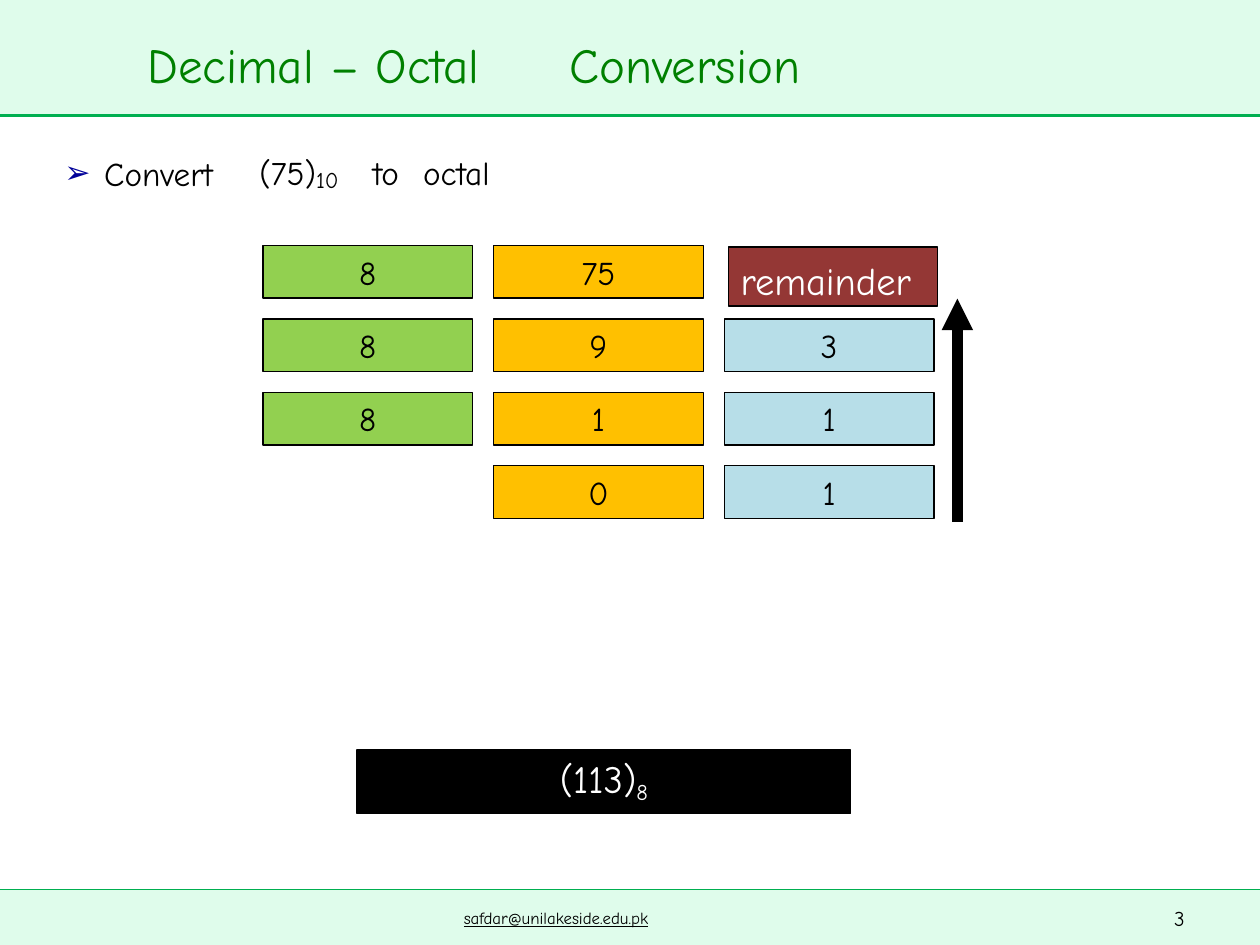
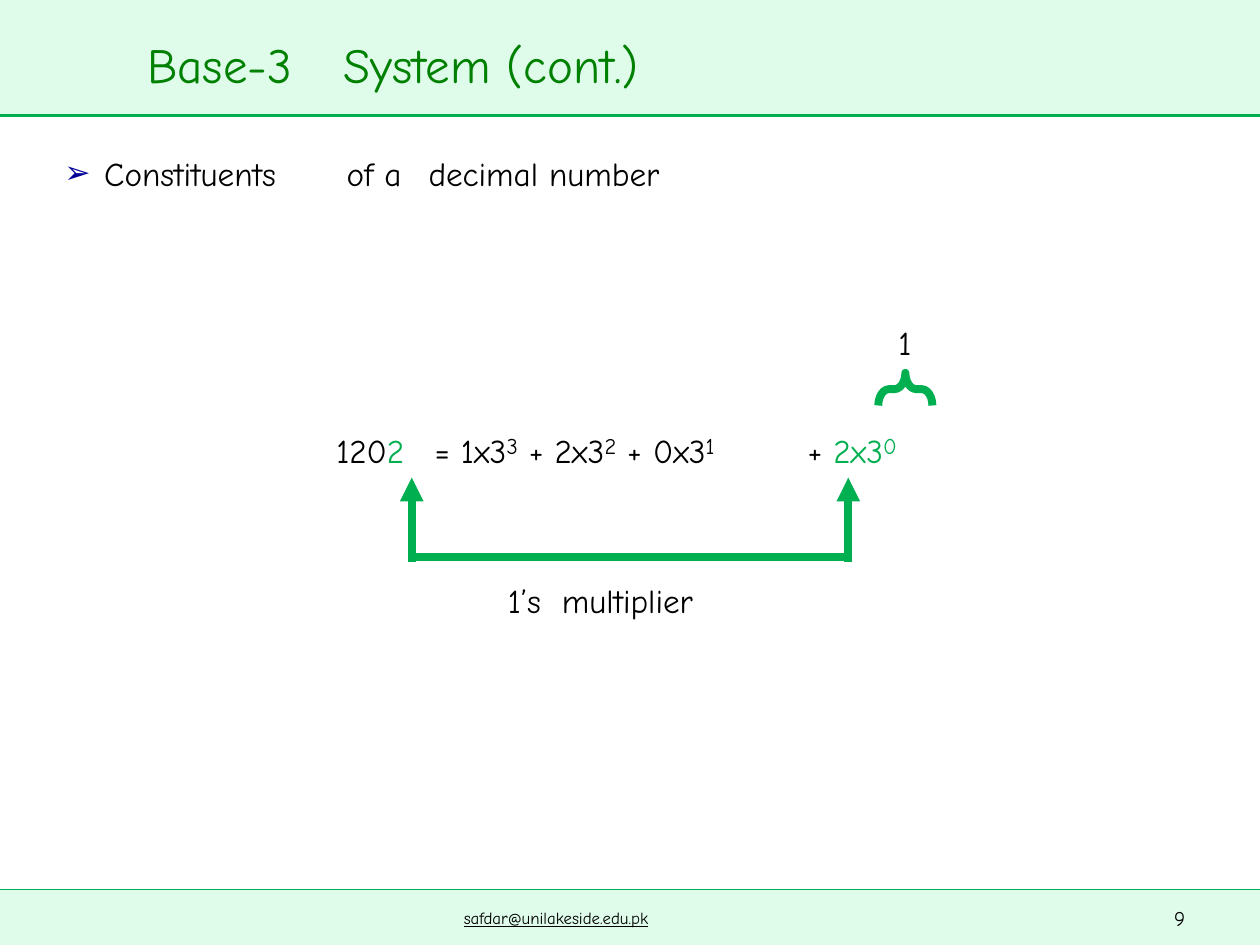
from lxml.etree import SubElement
from pptx import Presentation
from pptx.dml.color import RGBColor
from pptx.enum.shapes import MSO_CONNECTOR, MSO_SHAPE
from pptx.enum.text import MSO_ANCHOR, MSO_AUTO_SIZE, PP_ALIGN
from pptx.oxml.ns import qn
from pptx.util import Cm, Pt

MINT = RGBColor(0xDF, 0xFC, 0xEB)
GREEN = RGBColor(0x00, 0xAF, 0x50)
DARK = RGBColor(0x00, 0x80, 0x00)
LIME = RGBColor(0x92, 0xD0, 0x50)
GOLD = RGBColor(0xFF, 0xC0, 0x00)
SKY = RGBColor(0xB7, 0xDE, 0xE8)
RED = RGBColor(0x94, 0x37, 0x35)
BLACK = RGBColor(0, 0, 0)
WHITE = RGBColor(0xFF, 0xFF, 0xFF)
NAVY = "000099"
FONT = "Comic Neue"
WIDE, HIGH = 25.4, 19.05
BODY = 19  # points
LIST_Y = 3.49  # centre of the list line, cm
MAIL = "safdar@unilakeside.edu.pk"


def low(text, shift=-9):
    """Return a subscript run."""
    return text, {"size": 22, "shift": shift}


def high(text):
    """Return a superscript run."""
    return text, {"size": 22, "shift": 23}


# Each part: runs, left edge and tab stops in cm.
OCTAL = {
    "title": "Decimal – Octal\tConversion", "stop": 8.51, "page": "3",
    "item": "Convert",
    "rest": (["(75)", low("10"), "\tto\toctal"], 5.23, [2.29, 3.3]),
}
BASE = {
    "title": "Base-3\tSystem (cont.)", "stop": 3.96, "page": "9",
    "item": "Constituents",
    "rest": (["of a\tdecimal number"], 6.99, [1.65]),
}
# Fill, number of the first row, values
STEPS = [
    (LIME, 0, ["8", "8", "8"]),
    (GOLD, 0, ["75", "9", "1", "0"]),
    (SKY, 1, ["3", "1", "1"]),
]
SUM = [
    "120", ("2", {"color": GREEN}),
    "\t= 1x3", high("3"), " + 2x3", high("2"), " + 0x3", high("1"),
    "\t+ ", ("2x3", {"color": GREEN}),
    ("0", {"color": GREEN, "size": 22, "shift": 23}),
]


def write(shape, runs, size=BODY, color=BLACK, align=PP_ALIGN.LEFT,
          line=False, wrap=True, tabs=(), bullet=None, inset=(0, 0)):
    """Fill a shape with one formatted paragraph of runs."""
    frame = shape.text_frame
    frame.auto_size = MSO_AUTO_SIZE.NONE
    frame.word_wrap = wrap
    frame.vertical_anchor = MSO_ANCHOR.MIDDLE
    frame.margin_left, frame.margin_top = Cm(inset[0]), Cm(inset[1])
    frame.margin_right = frame.margin_bottom = 0
    para = frame.paragraphs[0]
    para.alignment = align
    para.line_spacing = Pt(round(size * 1.2, 1))
    para.space_before = Pt(0)
    for item in runs:
        text, look = (item, {}) if isinstance(item, str) else item
        run = para.add_run()
        run.text = text
        font = run.font
        font.name = FONT
        font.size = Pt(look.get("size", size))
        font.color.rgb = look.get("color", color)
        if line:
            font.underline = True
        if "shift" in look:
            run._r.get_or_add_rPr().set("baseline", str(look["shift"] * 1000))
    props = para._p.get_or_add_pPr()
    if bullet:
        mark(props, bullet)
    if tabs:
        stops = SubElement(props, qn("a:tabLst"))
        for stop in tabs:
            SubElement(stops, qn("a:tab"), pos=str(Cm(stop)), algn="l")


def mark(props, gap):
    """Give a paragraph an arrow bullet with a hanging indent."""
    props.set("marL", str(Cm(gap)))
    props.set("indent", str(-Cm(gap)))
    tint = SubElement(props, qn("a:buClr"))
    SubElement(tint, qn("a:srgbClr"), val=NAVY)
    SubElement(props, qn("a:buSzPct"), val="94000")
    SubElement(props, qn("a:buFont"), typeface="Arial")
    SubElement(props, qn("a:buChar"), char="➢")


def place(shape, left, mid, wide, tall):
    """Put a shape at a left edge, centred on a height."""
    shape.left, shape.top = Cm(left), Cm(mid - tall / 2)
    shape.width, shape.height = Cm(wide), Cm(tall)


def label(slide, runs, left, mid, **look):
    """Add a one-line text box centred on a height."""
    box = slide.shapes.add_textbox(0, 0, 0, 0)
    place(box, left, mid, 14 if look.get("tabs") else 6, 1)
    if left + 6 > WIDE:
        box.width = Cm(WIDE - left)
    write(box, runs, **look)


def block(slide, left, top, wide, tall, fill, edge=True):
    """Add a filled rectangle with an optional thin black edge."""
    box = slide.shapes.add_shape(
        MSO_SHAPE.RECTANGLE, Cm(left), Cm(top), Cm(wide), Cm(tall))
    box.shadow.inherit = False
    box.fill.solid()
    box.fill.fore_color.rgb = fill
    if edge:
        box.line.color.rgb = BLACK
        box.line.width = Pt(0.75)
    else:
        box.line.fill.background()
    return box


def rule(slide, start, end, width, color=GREEN, head=False):
    """Add a straight line, with an arrowhead at its end if asked."""
    line = slide.shapes.add_connector(
        MSO_CONNECTOR.STRAIGHT, *[Cm(n) for n in (*start, *end)])
    line.line.color.rgb = color
    line.line.width = Pt(width)
    if head:
        SubElement(line.line._get_or_add_ln(), qn("a:tailEnd"),
                   type="triangle", w="med", len="med")
    SubElement(line.element.spPr, qn("a:effectLst"))
    return line


def start(deck, data):
    """Add a slide with bands, title, list line and footer."""
    slide = deck.slides.add_slide(deck.slide_layouts[1])
    title, body = slide.shapes.title, slide.placeholders[1]
    back = [
        block(slide, 0, 0, WIDE, 2.31, MINT, edge=False),
        rule(slide, (0, 2.33), (WIDE, 2.33), 2),
        block(slide, 0, 17.93, WIDE, HIGH - 17.93, MINT, edge=False),
        rule(slide, (0, 17.93), (WIDE, 17.93), 0.25),
    ]
    for shape in back:
        title.element.addprevious(shape.element)
    place(title, 2.97, 1.28, 20, 1.3)
    write(title, [data["title"]], size=28, color=DARK, tabs=[data["stop"]])
    place(body, 1.3, LIST_Y, 5, 1)
    write(body, [data["item"]], bullet=0.8, wrap=False)
    runs, left, tabs = data["rest"]
    label(slide, runs, left, LIST_Y, tabs=tabs)
    label(slide, [MAIL], 9.35, 18.5, size=9.6, line=True)
    label(slide, [data["page"]], 23.67, 18.5, size=12)
    return slide


def divide(slide):
    """Draw the repeated division and its result."""
    left, top, wide, tall = 5.3, 4.95, 4.23, 1.06
    across, down = 4.65, 1.48
    for col, (fill, first, values) in enumerate(STEPS):
        for row, value in enumerate(values, first):
            box = block(slide, left + col * across, top + row * down,
                        wide, tall, fill)
            write(box, [value], align=PP_ALIGN.CENTER)
    head = block(slide, 14.68, 4.98, 4.22, 1.19, RED)
    write(head, ["remainder"], size=22, color=WHITE, inset=(0.25, 0.14))
    rule(slide, (19.3, 10.52), (19.3, 6.02), 6, BLACK, head=True)
    total = block(slide, 7.2, 15.12, 9.95, 1.28, BLACK)
    write(total, ["(113)", low("8", -18)], size=22, color=WHITE,
          align=PP_ALIGN.CENTER)


def expand(slide):
    """Draw the expanded sum with its brace and linked arrows."""
    label(slide, ["1"], 18.11, 6.9)
    brace = slide.shapes.add_shape(
        MSO_SHAPE.LEFT_BRACE, Cm(17.92), Cm(7.3), Cm(0.66), Cm(1.09))
    brace.rotation = 90
    brace.adjustments[0] = 0.33
    brace.shadow.inherit = False
    brace.fill.background()
    brace.line.color.rgb = GREEN
    brace.line.width = Pt(4.5)
    label(slide, SUM, 6.78, 9.09, tabs=[1.98, 9.5])
    ends = 8.3, 17.1
    for x in ends:
        rule(slide, (x, 11.33), (x, 9.63), 4.5, head=True)
    rule(slide, (ends[0], 11.23), (ends[1], 11.23), 4.5)
    label(slide, ["1’s\tmultiplier"], 10.24, 12.1, tabs=[1.09])


deck = Presentation()
deck.slide_width, deck.slide_height = Cm(WIDE), Cm(HIGH)
divide(start(deck, OCTAL))
expand(start(deck, BASE))
deck.save("out.pptx")
